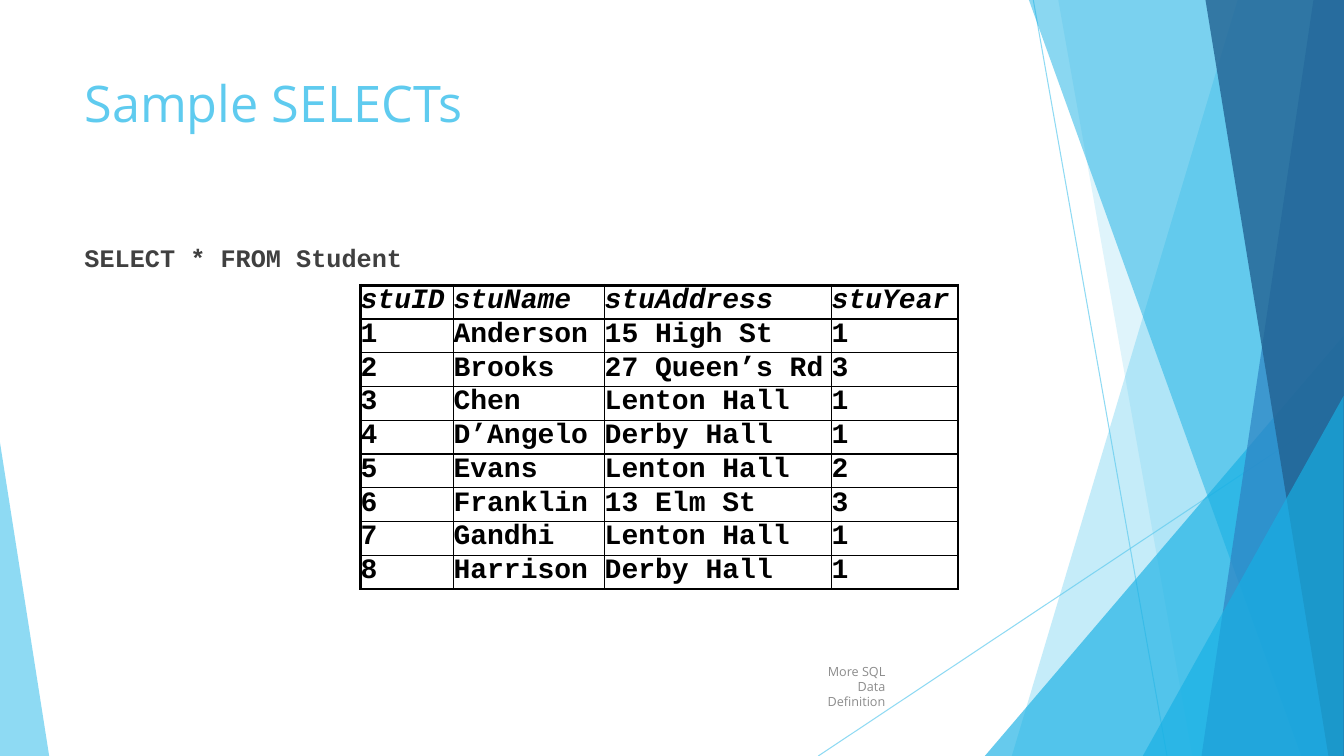
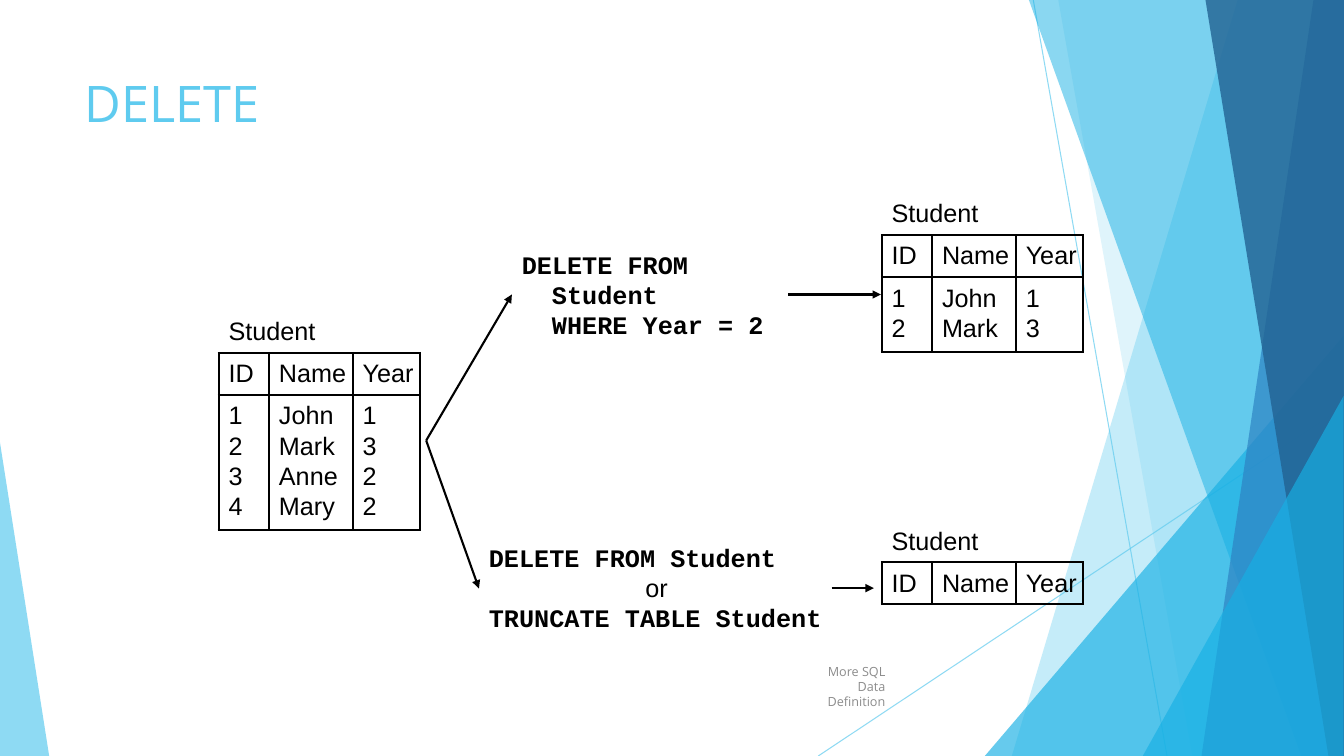
from lxml.etree import SubElement
from pptx import Presentation
from pptx.dml.color import RGBColor
from pptx.enum.shapes import MSO_CONNECTOR as LINE, MSO_SHAPE as SHAPE
from pptx.enum.text import MSO_ANCHOR as ANCHOR, PP_ALIGN as ALIGN
from pptx.oxml.ns import qn
from pptx.util import Cm, Pt

# Shared look
COLORS = {
    "sky": "5FCBEF", "cyan": "17B0E4", "blue": "2E83C3", "navy": "226292",
    "body": "404040", "footer": "8C8C8C", "ink": "000000",
}
HEADING, SANS, MONO = "Open Sans", "Arial", "Courier New"
WIDTH, HEIGHT = 33.87, 19.05
FOOTER = "More SQL Data Definition"

# Background, back to front: bands run from a top x to a bottom x and on to
# the right edge; triangles have left, top, width, height and apex position
RAYS = [(26.04, 0, 29.41, HEIGHT), (WIDTH, 10.24, 20.62, HEIGHT)]
FACETS = [
    ("band", (31.19, 25.5), "sky", 36),
    ("band", (26.67, 30.05), "sky", 20),
    ("triangle", (24.82, 8.46, 9.04, 10.59, 1), "cyan", 66),
    ("band", (25.93, 32.79), "cyan", 50),
    ("band", (33.1, 30.28), "blue", 70),
    ("band", (30.38, 33.48), "navy", 80),
    ("triangle", (28.8, 9.98, 5.06, 9.07, 1), "cyan", 66),
    ("triangle", (0, 11.15, 1.24, 7.9, 0), "sky", 70),
]

# Content
STUDENTS = [
    ("stuID", "stuName", "stuAddress", "stuYear"),
    ("1", "Anderson", "15 High St", "1"),
    ("2", "Brooks", "27 Queen’s Rd", "3"),
    ("3", "Chen", "Lenton Hall", "1"),
    ("4", "D’Angelo", "Derby Hall", "1"),
    ("5", "Evans", "Lenton Hall", "2"),
    ("6", "Franklin", "13 Elm St", "3"),
    ("7", "Gandhi", "Lenton Hall", "1"),
    ("8", "Harrison", "Derby Hall", "1"),
]
RECORDS = [("1", "John", "1"), ("2", "Mark", "3"),
           ("3", "Anne", "2"), ("4", "Mary", "2")]


def rgb(name):
    return RGBColor.from_string(COLORS[name])


def set_alpha(sp, percent):
    for clr in sp.element.spPr.iter(qn("a:srgbClr")):
        SubElement(clr, qn("a:alpha"), val=str(percent * 1000))


def add_run(p, text, size, color="ink", font=SANS, bold=False, italic=False):
    r = p.add_run()
    r.text = text
    r.font.size, r.font.name = Pt(size), font
    r.font.bold, r.font.italic = bold, italic
    r.font.color.rgb = rgb(color)


def add_text(s, box, lines, size, anchor=ANCHOR.TOP, align=ALIGN.LEFT, **style):
    tf = s.shapes.add_textbox(*map(Cm, box)).text_frame
    tf.word_wrap = True
    tf.vertical_anchor = anchor
    for i, line in enumerate(lines):
        p = tf.add_paragraph() if i else tf.paragraphs[0]
        p.alignment = align
        add_run(p, line, size, **style)
    return tf.paragraphs


def add_code(s, box, lines):
    paragraphs = add_text(s, box, lines, 18, font=MONO, bold=True)
    for p in paragraphs:
        p.line_spacing = Pt(21.6)
    return paragraphs


def add_line(s, ends, color="ink", width=1.5, arrow=False):
    sp = s.shapes.add_connector(LINE.STRAIGHT, *map(Cm, ends))
    sp.line.color.rgb = rgb(color)
    sp.line.width = Pt(width)
    if arrow:
        SubElement(sp.line._get_or_add_ln(), qn("a:tailEnd"), type="triangle")
    SubElement(sp.element.spPr, qn("a:effectLst"))
    return sp


def add_band(s, top, bottom):
    corners = [(WIDTH, 0), (WIDTH, HEIGHT), (bottom, HEIGHT)]
    outline = s.shapes.build_freeform(Cm(top), 0, scale=1.0)
    outline.add_line_segments([(Cm(x), Cm(y)) for x, y in corners], close=True)
    return outline.convert_to_shape()


def add_triangle(s, x, y, w, h, apex):
    sp = s.shapes.add_shape(SHAPE.ISOSCELES_TRIANGLE, *map(Cm, (x, y, w, h)))
    sp.adjustments[0] = apex
    return sp


def add_background(s):
    for ends in RAYS:
        set_alpha(add_line(s, ends, "sky", 0.75), 70)
    draw = {"band": add_band, "triangle": add_triangle}
    for kind, geometry, color, alpha in FACETS:
        sp = draw[kind](s, *geometry)
        sp.shadow.inherit = False
        sp.fill.solid()
        sp.fill.fore_color.rgb = rgb(color)
        sp.line.fill.background()
        set_alpha(sp, alpha)


def set_borders(cell, left, right, top, bottom):
    tcPr = cell._tc.get_or_add_tcPr()
    sides = [("L", left), ("R", right), ("T", top), ("B", bottom)]
    for i, (side, width) in enumerate(sides):
        ln = SubElement(tcPr, qn(f"a:ln{side}"), w=str(Pt(width)))
        if width:
            fill = SubElement(ln, qn("a:solidFill"))
            SubElement(fill, qn("a:srgbClr"), val=COLORS["ink"])
        else:
            SubElement(ln, qn("a:noFill"))
        tcPr.insert(i, ln)


def add_grid(s, x, y, cols, heights, rows, h_rules, v_rules):
    """Add a table with the given rule widths and no cell insets."""
    box = map(Cm, (x, y, sum(cols), sum(heights)))
    table = s.shapes.add_table(len(rows), len(cols), *box).table
    table.first_row = table.horz_banding = False
    for col, width in zip(table.columns, cols):
        col.width = Cm(width)
    for i, (row, height) in enumerate(zip(table.rows, heights)):
        row.height = Cm(height)
        for j, cell in enumerate(row.cells):
            cell.fill.background()
            cell.margin_left = cell.margin_right = 0
            cell.margin_top = cell.margin_bottom = 0
            set_borders(cell, *v_rules[j:j + 2], *h_rules[i:i + 2])
    return table


def add_student_table(s, x, y, records):
    """Add a captioned table ruled only around and below its header."""
    rows = [("ID", "Name", "Year"), *records]
    last = len(records)
    pad = 0.18
    heights = [1.06] + [0.76 + pad * (i in (1, last)) for i in range(1, last + 1)]
    h_rules = [1.5 if i in (0, 1, last + 1) else 0 for i in range(last + 2)]
    add_text(s, (x, y - 1.06, 2.69, 1.02), ["Student"], 18)
    table = add_grid(s, x, y, [1.27, 2.11, 1.7], heights, rows, h_rules, [1.5] * 4)
    for i, row in enumerate(rows):
        for j, text in enumerate(row):
            cell = table.cell(i, j)
            cell.margin_left = Cm(0.25)
            cell.margin_top = Cm(pad if i < 2 else 0)
            add_run(cell.text_frame.paragraphs[0], text, 18)


def add_slide(prs, title):
    s = prs.slides.add_slide(prs.slide_layouts[6])
    add_background(s)
    add_text(s, (20.02, 16.79, 2.54, 1.02), [FOOTER], 9, ANCHOR.MIDDLE,
             ALIGN.RIGHT, color="footer", font=HEADING)
    add_text(s, (1.88, 1.7, 23.88, 3.66), [title], 36, color="sky", font=HEADING)
    return s


def build_select(prs):
    s = add_slide(prs, "Sample SELECTs")
    add_text(s, (1.88, 5.99, 23.88, 10.77), ["SELECT * FROM Student"], 18,
             color="body", font=MONO, bold=True)
    n = len(STUDENTS)
    table = add_grid(s, 9.09, 7.19, [2.34, 3.81, 5.72, 3.18], [0.85] * n, STUDENTS,
                     [2.25] + [1] * (n - 1) + [2.25], [2.25, 1, 1, 1, 2.25])
    for i, row in enumerate(STUDENTS):
        for j, text in enumerate(row):
            p = table.cell(i, j).text_frame.paragraphs[0]
            add_run(p, text, 20, font=MONO, bold=True, italic=i == 0)


def build_delete(prs):
    s = add_slide(prs, "DELETE")

    # Before, and after each statement
    add_student_table(s, 5.51, 8.89, RECORDS)
    add_student_table(s, 22.22, 14.17, [])
    add_student_table(s, 22.22, 5.92, RECORDS[:2])

    # Statements
    delete_all = add_code(s, (12.07, 13.54, 8.95, 2.54),
                          ["DELETE FROM Student", "or", "TRUNCATE TABLE Student"])
    choice = delete_all[1]
    choice.alignment = ALIGN.CENTER
    choice.runs[0].font.name, choice.runs[0].font.bold = SANS, False

    delete_some = add_code(s, (12.9, 6.15, 6.96, 2.54),
                           ["DELETE FROM", "Student", "WHERE Year = 2"])
    for p in delete_some[1:]:
        p._p.get_or_add_pPr().set("marL", str(Cm(0.76)))

    # Flow
    for ends in [(10.74, 11.1, 12.9, 7.42), (10.74, 11.1, 12.07, 14.83),
                 (20.96, 14.82, 22.02, 14.82), (19.86, 7.42, 22.2, 7.42)]:
        add_line(s, ends, arrow=True)


def main():
    prs = Presentation()
    prs.slide_width, prs.slide_height = Cm(WIDTH), Cm(HEIGHT)
    build_select(prs)
    build_delete(prs)
    prs.save("out.pptx")


main()
